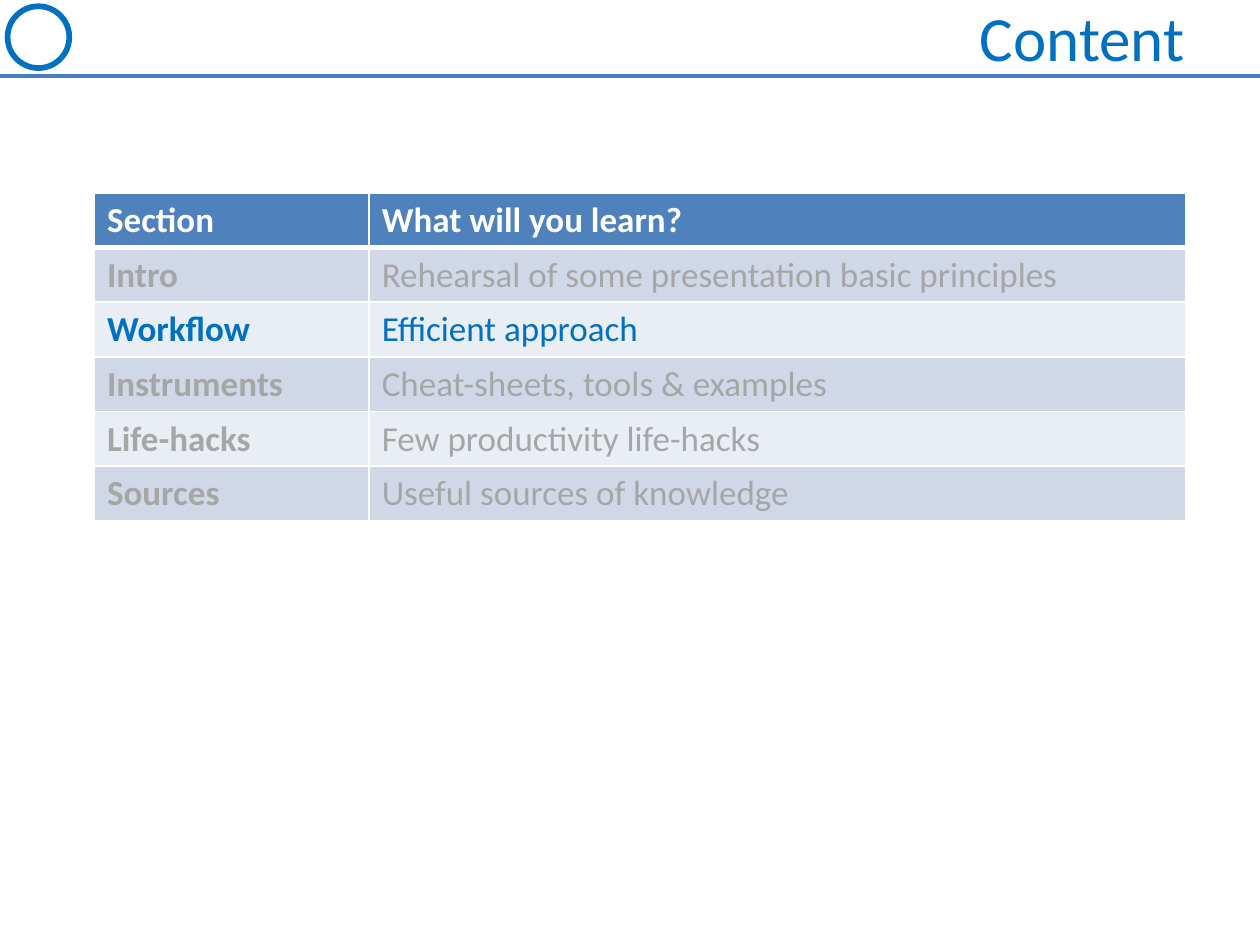
from lxml.etree import SubElement
from pptx import Presentation
from pptx.dml.color import RGBColor
from pptx.enum.shapes import MSO_CONNECTOR as Connector, MSO_SHAPE as Shape
from pptx.enum.text import MSO_ANCHOR as Anchor, PP_ALIGN as Align
from pptx.oxml.ns import qn
from pptx.util import Inches, Pt

WHITE = RGBColor(0xFF, 0xFF, 0xFF)
BLUE = RGBColor(0x00, 0x70, 0xC0)
RULE_BLUE = RGBColor(0x4B, 0x7E, 0xBC)
HEADER_BLUE = RGBColor(0x4F, 0x81, 0xBD)
DARK_BAND = RGBColor(0xD0, 0xD8, 0xE8)
LIGHT_BAND = RGBColor(0xE9, 0xED, 0xF4)
GREY = RGBColor(0xA6, 0xA6, 0xA6)

COLUMN_WIDTHS = [2.18, 6.48]
ROW_HEIGHT = 0.41
ACTIVE_SECTION = "Workflow"
ROWS = [
    ("Section", "What will you learn?"),
    ("Intro", "Rehearsal of some presentation basic principles"),
    ("Workflow", "Efficient approach"),
    ("Instruments", "Cheat-sheets, tools & examples"),
    ("Life-hacks", "Few productivity life-hacks"),
    ("Sources", "Useful sources of knowledge"),
]


def write_text(frame, text, size=20, color=GREY, bold=False, align=Align.LEFT):
    paragraph = frame.paragraphs[0]
    paragraph.alignment = align
    run = paragraph.add_run()
    run.text = text
    run.font.name = "Calibri"
    run.font.size = Pt(size)
    run.font.bold = bold
    run.font.color.rgb = color


def add_border(cell, side, width):
    properties = cell._tc.get_or_add_tcPr()
    border = SubElement(properties, qn(f"a:ln{side}"), w=str(Pt(width)))
    fill = SubElement(border, qn("a:solidFill"))
    SubElement(fill, qn("a:srgbClr"), val=str(WHITE))


presentation = Presentation()
presentation.slide_width = Inches(10)
presentation.slide_height = Inches(7.5)
slide = presentation.slides.add_slide(presentation.slide_layouts[6])

rule = slide.shapes.add_connector(
    Connector.STRAIGHT, 0, Inches(0.6), presentation.slide_width, Inches(0.6))
rule.line.color.rgb = RULE_BLUE
rule.line.width = Pt(2.25)
SubElement(rule._element.spPr, qn("a:effectLst"))

emblem = slide.shapes.add_shape(
    Shape.OVAL, Inches(0.06), Inches(0.05), Inches(0.49), Inches(0.49))
emblem.shadow.inherit = False
emblem.fill.background()
emblem.line.color.rgb = BLUE
emblem.line.width = Pt(3.25)

title = slide.shapes.add_textbox(
    Inches(0.5), Inches(-0.03), Inches(9), Inches(0.63))
title.text_frame.word_wrap = True
title.text_frame.vertical_anchor = Anchor.MIDDLE
write_text(title.text_frame, "Content", size=36, color=BLUE, align=Align.RIGHT)

table = slide.shapes.add_table(
    len(ROWS), len(COLUMN_WIDTHS), Inches(0.75), Inches(1.53),
    Inches(sum(COLUMN_WIDTHS)), Inches(ROW_HEIGHT * len(ROWS))).table
for column, width in zip(table.columns, COLUMN_WIDTHS):
    column.width = Inches(width)

for row_index, row in enumerate(ROWS):
    is_header = row_index == 0
    if is_header:
        band, color = HEADER_BLUE, WHITE
    else:
        band = DARK_BAND if row_index % 2 else LIGHT_BAND
        color = BLUE if row[0] == ACTIVE_SECTION else GREY
    for column_index, text in enumerate(row):
        cell = table.cell(row_index, column_index)
        for side in "LRTB":
            is_thick = (side, row_index) in (("B", 0), ("T", 1))
            add_border(cell, side, 3 if is_thick else 1)
        cell.fill.solid()
        cell.fill.fore_color.rgb = band
        write_text(cell.text_frame, text, color=color,
                   bold=is_header or column_index == 0)

presentation.save("out.pptx")
